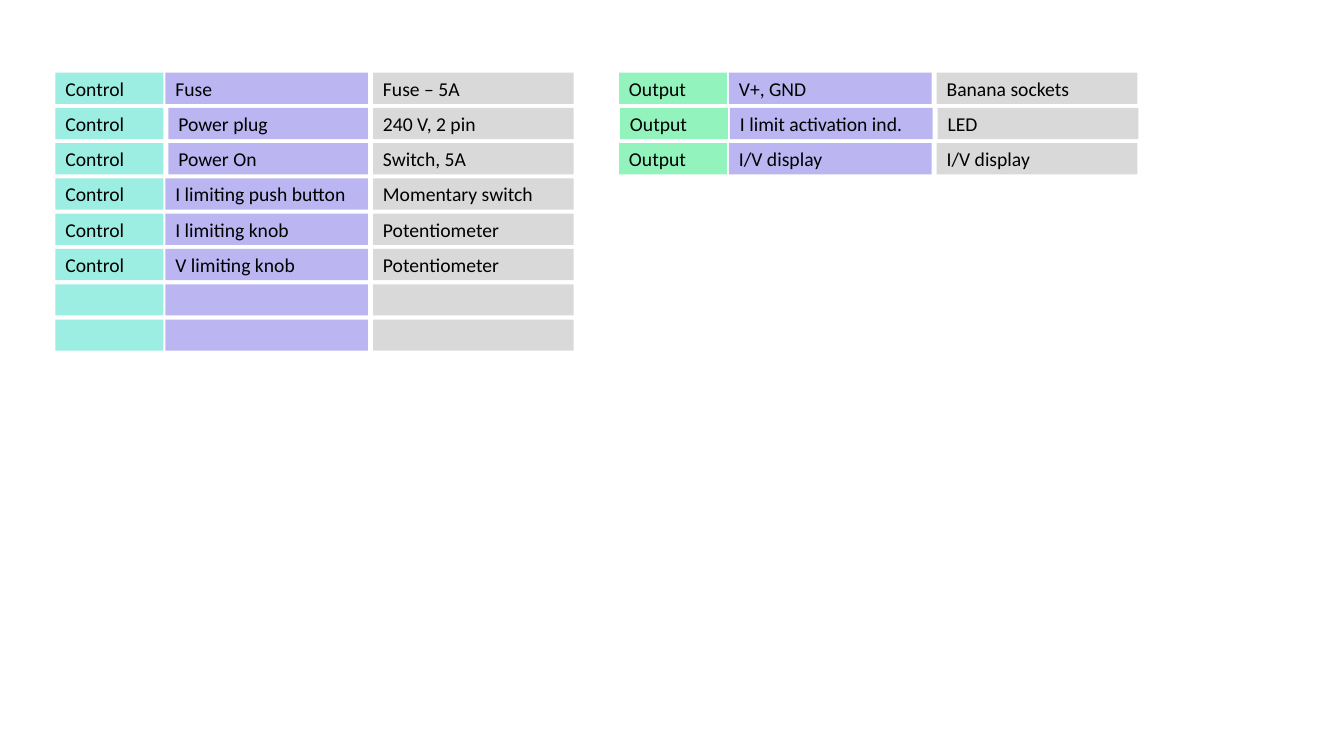
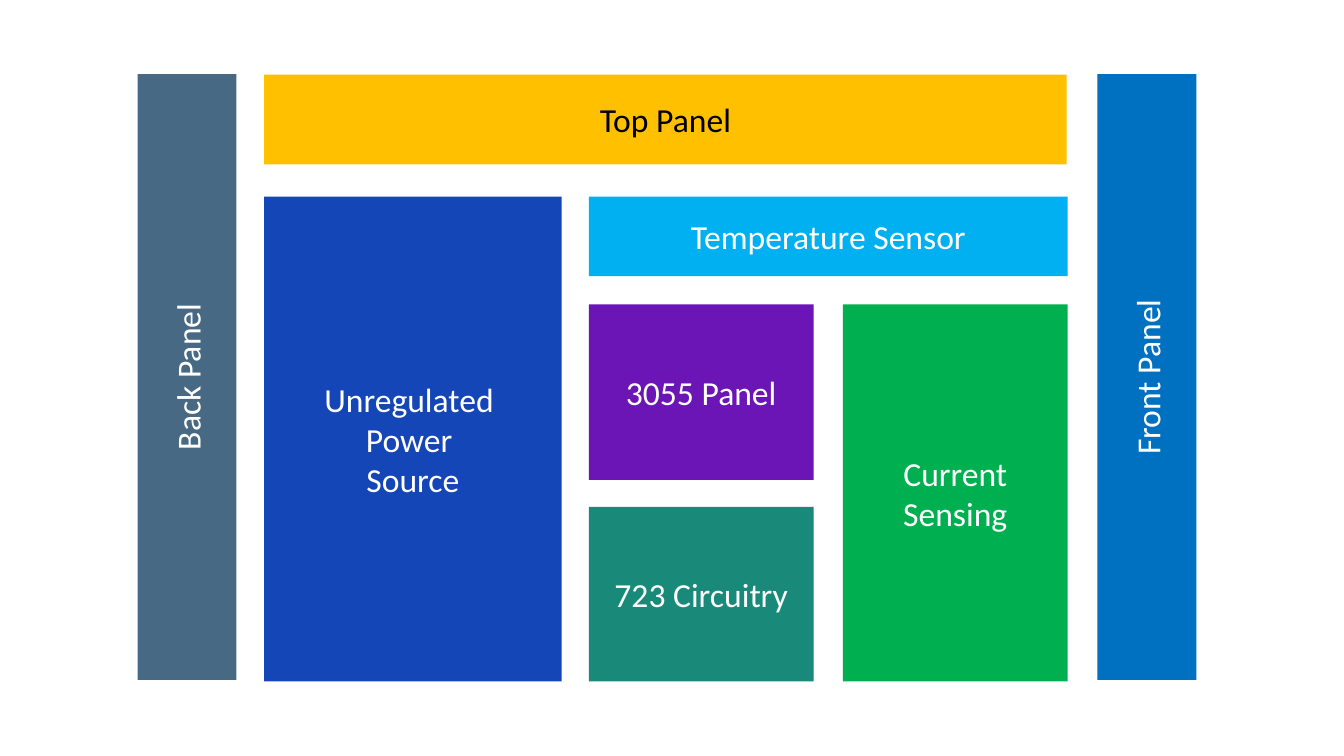
from pptx import Presentation
from pptx.dml.color import RGBColor
from pptx.enum.shapes import MSO_SHAPE as Shape
from pptx.enum.text import MSO_ANCHOR as Anchor, PP_ALIGN as Align
from pptx.util import Emu, Pt

PX = 9144
FONT = "Calibri"
BLACK, WHITE = "000000", "FFFFFF"
CONTROL, OUTPUT, NAME, PART = "9CEDE2", "92F3BD", "BBB5F1", "D9D9D9"

ROW_TOP, ROW_PITCH, ROW_HEIGHT = 72, 35, 31
KIND_WIDTH, NAME_LEFT, NAME_WIDTH, PART_LEFT, PART_WIDTH = 107, 109, 201, 315, 199

CONTROLS = [
    ("Control", "Fuse", "Fuse – 5A", 0, 0),
    ("Control", "Power plug", "240 V, 2 pin", 0, 3),
    ("Control", "Power On", "Switch, 5A", 0, 3),
    ("Control", "I limiting push button", "Momentary switch", 0, 0),
    ("Control", "I limiting knob", "Potentiometer", 0, 0),
    ("Control", "V limiting knob", "Potentiometer", 0, 0),
    ("", "", "", 0, 0),
    ("", "", "", 0, 0),
]
OUTPUTS = [
    ("Output", "V+, GND", "Banana sockets", 0, 0),
    ("Output", "I limit activation ind.", "LED", 1, 0),
    ("Output", "I/V display", "I/V display", 0, 0),
]

BLOCKS = [
    ("Unregulated \nPower \nSource", 262, 195, 295, 481, "1546B7", WHITE),
    ("723 Circuitry", 584, 503, 223, 173, "198A7A", WHITE),
    ("3055 Panel", 584, 302, 223, 174, "6B15B7", WHITE),
    ("Current Sensing", 836, 302, 223, 374, "00B050", WHITE),
    ("Top Panel", 262, 74, 796, 89, "FFC000", BLACK),
    ("Temperature Sensor", 584, 195, 475, 79, "00B0F0", WHITE),
]
SIDE_TOP, SIDE_WIDTH, SIDE_HEIGHT = 74, 98, 601
SIDE_PANELS = [("Back Panel", 136, "486983"), ("Front Panel", 1088, "0070C0")]


def px(length):
    return Emu(length * PX)


def color(value):
    return RGBColor.from_string(value)


def add_box(shapes, text, left, top, width, height, fill, ink, size, align):
    box = shapes.add_shape(Shape.RECTANGLE, px(left), px(top), px(width), px(height))
    box.shadow.inherit = False
    box.fill.solid()
    box.fill.fore_color.rgb = color(fill)
    box.line.fill.background()
    frame = box.text_frame
    frame.word_wrap = True
    frame.vertical_anchor = Anchor.MIDDLE
    frame.text = text
    for para in frame.paragraphs:
        para.alignment = align
        para.font.name = FONT
        para.font.size = Pt(size)
        para.font.color.rgb = color(ink)
    return box


def add_list(page, left, kind_fill, rows):
    for index, (kind, name, part, shift, inset) in enumerate(rows):
        row = page.shapes.add_group_shape()
        start, top = left + shift, ROW_TOP + index * ROW_PITCH
        cells = [
            (name, NAME_LEFT + inset, NAME_WIDTH - inset, NAME),
            (kind, 0, KIND_WIDTH, kind_fill),
            (part, PART_LEFT, PART_WIDTH, PART),
        ]
        for text, offset, width, fill in cells:
            add_box(row.shapes, text, start + offset, top, width, ROW_HEIGHT,
                    fill, BLACK, 14, Align.LEFT)


def add_block(page, text, left, top, width, height, fill, ink):
    return add_box(page.shapes, text, left, top, width, height, fill, ink, 24, Align.CENTER)


def add_side_panel(page, text, left, fill):
    turn = (SIDE_HEIGHT - SIDE_WIDTH) // 2
    panel = add_block(page, text, left - turn, SIDE_TOP + turn,
                      SIDE_HEIGHT, SIDE_WIDTH, fill, WHITE)
    panel.rotation = 270


def main():
    deck = Presentation()
    deck.slide_width, deck.slide_height = px(1333), px(750)
    blank = deck.slide_layouts[6]

    parts_page = deck.slides.add_slide(blank)
    add_list(parts_page, 55, CONTROL, CONTROLS)
    add_list(parts_page, 614, OUTPUT, OUTPUTS)

    layout_page = deck.slides.add_slide(blank)
    for block in BLOCKS:
        add_block(layout_page, *block)
    for panel in SIDE_PANELS:
        add_side_panel(layout_page, *panel)

    deck.save("out.pptx")


if __name__ == "__main__":
    main()
